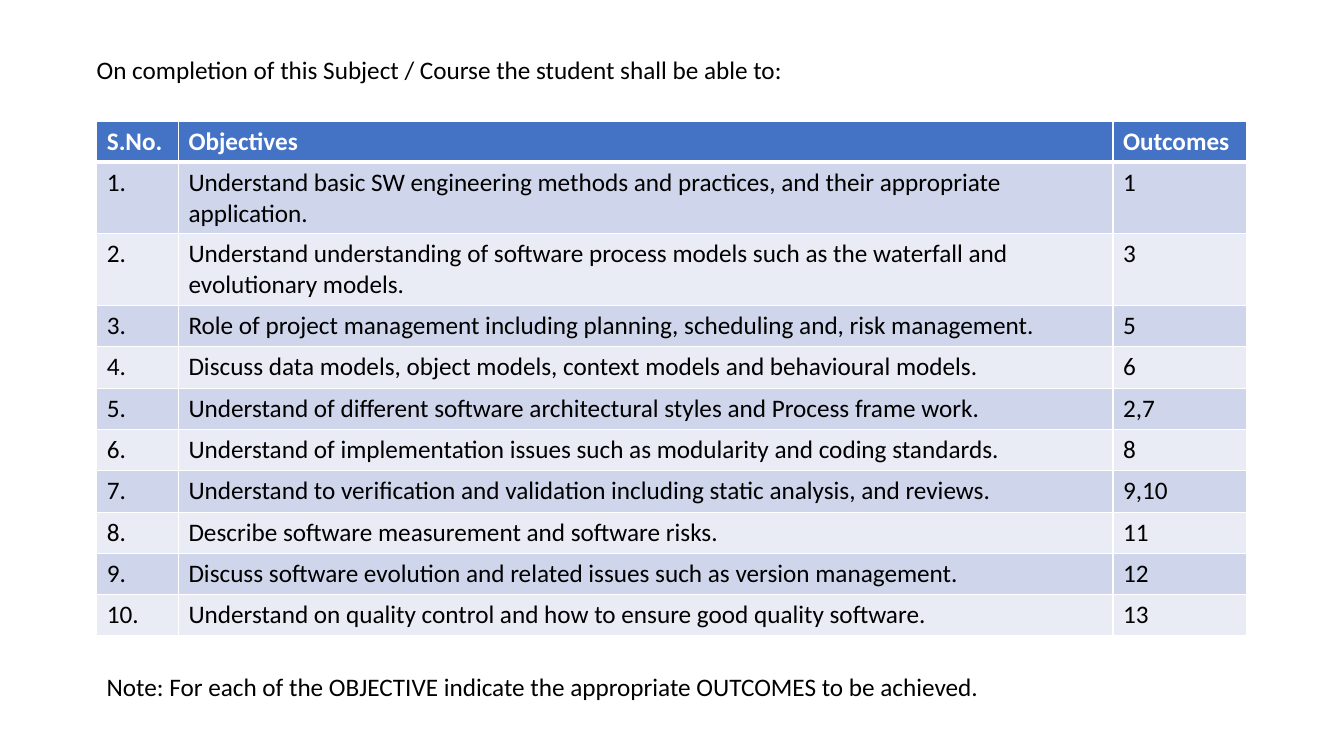
"""Build a slide with a table of course objectives and outcomes."""
from lxml import etree
from pptx import Presentation, util as u
from pptx.dml.color import RGBColor
from pptx.oxml import ns

COLORS = {"head": "4472C4", "odd": "CFD5EA", "even": "E9EBF5",
          "white": "FFFFFF", "black": "000000"}
ROWS = [
    ("Understand basic SW engineering methods and practices, and their appropriate application.", "1"),
    ("Understand understanding of software process models such as the waterfall and evolutionary models.", "3"),
    ("Role of project management including planning, scheduling and, risk management.", "5"),
    ("Discuss data models, object models, context models and behavioural models.", "6"),
    ("Understand of different software architectural styles and Process frame work.", "2,7"),
    ("Understand of implementation issues such as modularity and coding standards.", "8"),
    ("Understand to verification and validation including static analysis, and reviews.", "9,10"),
    ("Describe software measurement and software risks.", "11"),
    ("Discuss software evolution and related issues such as version management.", "12"),
    ("Understand on quality control and how to ensure good quality software.", "13"),
]
NOTES = [
    ("On completion of this Subject / Course the student shall be able to:", 0.86, 0.49, 7.52),
    ("Note: For each of the OBJECTIVE indicate the appropriate OUTCOMES to be achieved.", 0.96, 6.61, 9.61),
]


def write(frame, text, color="black", bold=False):
    run = frame.paragraphs[0].add_run()
    run.text = text
    run.font.name = "Calibri"
    run.font.size = u.Pt(18)
    run.font.bold = bold
    run.font.color.rgb = RGBColor.from_string(COLORS[color])


def border(cell, side, width):
    line = etree.SubElement(cell._tc.get_or_add_tcPr(), ns.qn("a:ln" + side),
                            w=str(u.Pt(width)))
    fill = etree.SubElement(line, ns.qn("a:solidFill"))
    etree.SubElement(fill, ns.qn("a:srgbClr"), val=COLORS["white"])


deck = Presentation()
deck.slide_width = u.Inches(13.33)
deck.slide_height = u.Inches(7.5)
slide = deck.slides.add_slide(deck.slide_layouts[6])

data = [("S.No.", "Objectives", "Outcomes")]
data += [(f"{num}.", goal, mark) for num, (goal, mark) in enumerate(ROWS, 1)]
table = slide.shapes.add_table(len(data), 3, u.Inches(0.96), u.Inches(1.2),
                               u.Inches(11.4), u.Inches(0.41 * len(data))).table
for col, width in zip(table.columns, (0.81, 9.27, 1.32)):
    col.width = u.Inches(width)

for r, row in enumerate(data):
    table.rows[r].height = u.Inches(0.41)
    tone = "head" if r == 0 else "odd" if r % 2 else "even"
    for c, text in enumerate(row):
        cell = table.cell(r, c)
        write(cell.text_frame, text, color="black" if r else "white", bold=r == 0)
        for side in "LRTB":
            border(cell, side, 3 if (r, side) in ((0, "B"), (1, "T")) else 1)
        cell.fill.solid()
        cell.fill.fore_color.rgb = RGBColor.from_string(COLORS[tone])

for text, left, top, width in NOTES:
    box = slide.shapes.add_textbox(u.Inches(left), u.Inches(top),
                                   u.Inches(width), u.Inches(0.4))
    box.text_frame.word_wrap = True
    write(box.text_frame, text)

deck.save("out.pptx")
